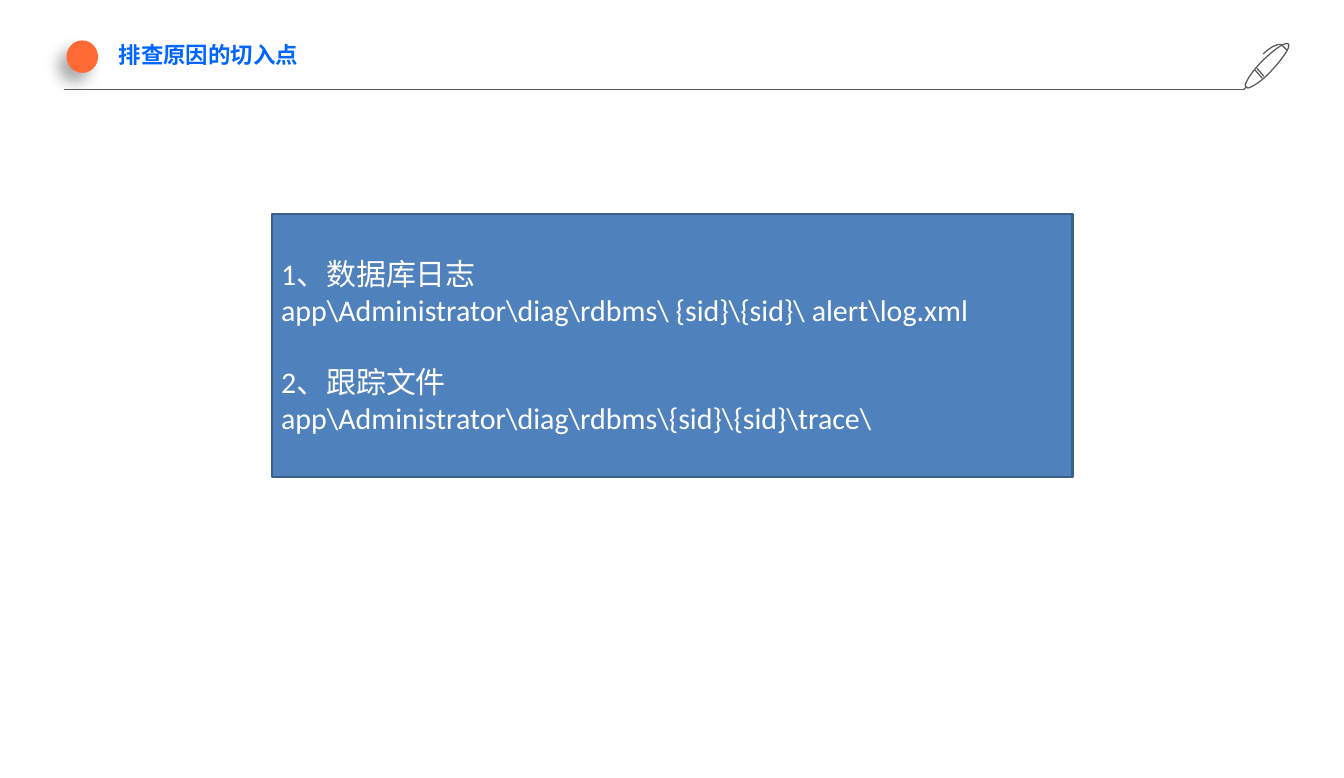
from lxml.etree import SubElement
from pptx import Presentation
from pptx.dml.color import RGBColor
from pptx.enum.shapes import MSO_CONNECTOR, MSO_SHAPE
from pptx.enum.text import MSO_ANCHOR, MSO_AUTO_SIZE, PP_ALIGN
from pptx.oxml.ns import qn
from pptx.util import Inches, Pt

ORANGE = "FE6934"
GRAY = "595959"
CURVE_STEPS = 12

PEN_STROKES = [
    [(0.21, 0.41), (0.13, 0.32)],
    [(0.15, 0.30), (0.23, 0.39)],
    [(0.50, 0.03), (0.47, 0), (0.34, 0.09), (0.21, 0.22),
     (0.10, 0.33), (0.03, 0.44), (0.02, 0.49), (0.03, 0.51),
     (0.05, 0.52), (0.05, 0.52), (0.10, 0.51), (0.21, 0.44),
     (0.31, 0.33), (0.44, 0.19), (0.53, 0.06), (0.50, 0.03)],
    [(0.03, 0.51), (0, 0.54)],
    [(0.49, 0.10), (0.49, 0.10), (0.45, 0.07), (0.43, 0.04),
     (0.43, 0.04), (0.37, 0), (0.22, 0.14)],
]

LOG_LINES = [
    "1、数据库日志",
    "app\\Administrator\\diag\\rdbms\\ {sid}\\{sid}\\ alert\\log.xml",
    "2、跟踪文件",
    "app\\Administrator\\diag\\rdbms\\{sid}\\{sid}\\trace\\",
]


def color(value):
    return RGBColor.from_string(value)


def style_paragraph(paragraph, font_name, size, font_color, bold=False):
    paragraph.alignment = PP_ALIGN.LEFT
    font = paragraph.font
    font.size = Pt(size)
    font.bold = bold
    font.color.rgb = color(font_color)
    font.name = font_name
    properties = paragraph._p.pPr.find(qn("a:defRPr"))
    SubElement(properties, qn("a:ea"), typeface="Noto Sans CJK SC")


def add_shadow(shape):
    effects = shape._element.spPr.find(qn("a:effectLst"))
    shadow = SubElement(effects, qn("a:outerShdw"), blurRad=str(Pt(12)),
                        dist=str(Pt(10)), dir=str(130 * 60000),
                        algn="ctr", rotWithShape="0")
    shadow_color = SubElement(shadow, qn("a:srgbClr"), val="000000")
    SubElement(shadow_color, qn("a:alpha"), val="32000")


def add_dot(slide, left, top, width, height):
    group = slide.shapes.add_group_shape()
    for inset in (0, 0.01):
        dot = group.shapes.add_shape(
            MSO_SHAPE.OVAL, Inches(left + inset), Inches(top + inset),
            Inches(width - inset), Inches(height - inset))
        dot.fill.solid()
        dot.fill.fore_color.rgb = color(ORANGE)
        dot.line.fill.background()
        dot.shadow.inherit = False
        if inset == 0:
            add_shadow(dot)


def curve_points(stroke):
    if len(stroke) == 2:
        return stroke
    points = [stroke[0]]
    for index in range(0, len(stroke) - 1, 3):
        controls = stroke[index:index + 4]
        for step in range(1, CURVE_STEPS + 1):
            t = step / CURVE_STEPS
            weights = ((1 - t) ** 3, 3 * t * (1 - t) ** 2,
                       3 * t ** 2 * (1 - t), t ** 3)
            points.append(tuple(
                sum(weight * point[axis]
                    for weight, point in zip(weights, controls))
                for axis in (0, 1)))
    return points


def add_pen(slide, left, top):
    builder = None
    for stroke in PEN_STROKES:
        points = [(Inches(left + x), Inches(top + y))
                  for x, y in curve_points(stroke)]
        if builder is None:
            builder = slide.shapes.build_freeform(*points[0])
        else:
            builder.move_to(*points[0])
        builder.add_line_segments(points[1:], close=stroke[0] == stroke[-1])
    pen = builder.convert_to_shape()
    pen.fill.background()
    pen.line.color.rgb = color(GRAY)
    pen.line.width = Pt(1)
    pen.shadow.inherit = False


def add_header(slide, left, top, width, height):
    add_dot(slide, left + 0.03, top + 0.05, 0.35, 0.36)

    title = slide.shapes.title
    title.left, title.top = Inches(left + 0.5), Inches(top)
    title.width, title.height = Inches(2.25), Inches(0.42)
    frame = title.text_frame
    frame.text = "排查原因的切入点"
    frame.word_wrap = False
    frame.auto_size = MSO_AUTO_SIZE.NONE
    frame.vertical_anchor = MSO_ANCHOR.MIDDLE
    frame.margin_left = frame.margin_right = Inches(0.11)
    frame.margin_top = frame.margin_bottom = Inches(0.06)
    style_paragraph(frame.paragraphs[0], "Noto Sans CJK SC", 18, "0066FF", True)

    pen_left = left + width - 0.52
    bottom = Inches(top + height)
    rule = slide.shapes.add_connector(
        MSO_CONNECTOR.STRAIGHT, Inches(left), bottom, Inches(pen_left), bottom)
    rule.line.color.rgb = color(GRAY)
    rule.line.width = Pt(0.75)
    SubElement(rule._element.spPr, qn("a:effectLst"))
    add_pen(slide, pen_left, top + height - 0.54)


def add_log_panel(slide, left, top, width, height):
    panel = slide.shapes.add_shape(
        MSO_SHAPE.RECTANGLE, Inches(left), Inches(top),
        Inches(width), Inches(height))
    panel.fill.solid()
    panel.fill.fore_color.rgb = color("4F81BD")
    panel.line.color.rgb = color("3A5F8C")
    panel.line.width = Pt(2)
    panel.shadow.inherit = False
    frame = panel.text_frame
    frame.word_wrap = True
    frame.vertical_anchor = MSO_ANCHOR.MIDDLE
    for index, text in enumerate(LOG_LINES):
        paragraph = frame.add_paragraph() if index else frame.paragraphs[0]
        paragraph.text = text
        style_paragraph(paragraph, "Calibri", 24, "FFFFFF")
        if index == 2:
            paragraph.space_before = Pt(29)


def main():
    presentation = Presentation()
    presentation.slide_width = Inches(14.96)
    presentation.slide_height = Inches(8.66)
    slide = presentation.slides.add_slide(presentation.slide_layouts[5])
    slide.background.fill.solid()
    slide.background.fill.fore_color.rgb = color("FFFFFF")
    add_header(slide, 0.71, 0.4, 13.65, 0.6)
    add_log_panel(slide, 3.03, 2.38, 8.91, 2.93)
    presentation.save("out.pptx")


if __name__ == "__main__":
    main()
